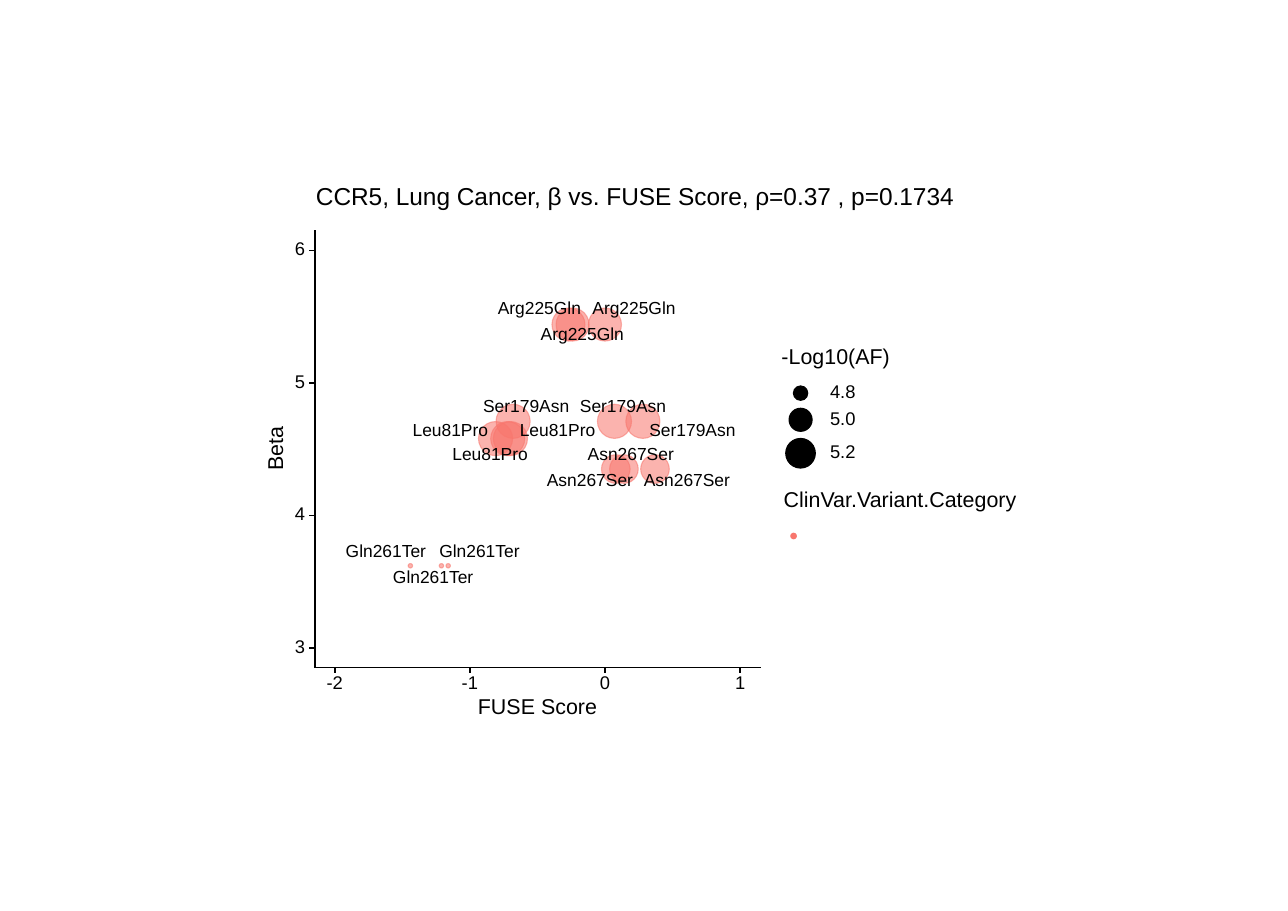
from dataclasses import dataclass

from lxml.etree import SubElement
from pptx import Presentation
from pptx.dml.color import RGBColor
from pptx.enum.shapes import MSO_CONNECTOR, MSO_SHAPE
from pptx.enum.text import MSO_ANCHOR, MSO_AUTO_SIZE, PP_ALIGN
from pptx.oxml.ns import qn
from pptx.shapes.autoshape import Shape
from pptx.shapes.group import GroupShape
from pptx.util import Pt

BLACK = "000000"
SALMON = "F8766D"
LEFT, RIGHT, TOP, BOTTOM = 205.9, 497.5, 150.2, 436.4
TICK = 3.5


@dataclass(frozen=True)
class Label:
    text: str
    x: float
    y: float
    size: float
    rotation: float = 0


@dataclass(frozen=True)
class Dot:
    x: float
    y: float
    diameter: float
    colour: str
    opacity: int = 100


@dataclass(frozen=True)
class Variant:
    name: str
    beta: float
    diameter: float
    scores: tuple[float, ...]
    label_centres: tuple[tuple[float, float], ...]


VARIANTS = (
    Variant("Arg225Gln", 5.44, 21.6, (-0.24, -0.27, 0),
            ((380.9, 219.4), (352.8, 202.2), (414.7, 202.2))),
    Variant("Asn267Ser", 4.35, 18.7, (0.14, 0.08, 0.37),
            ((412.6, 297.5), (385.9, 314.7), (449.3, 314.7))),
    Variant("Gln261Ter", 3.62, 2.9, (-1.21, -1.44, -1.16),
            ((283.3, 378.2), (252.4, 360.8), (313.6, 360.8))),
    Variant("Ser179Asn", 4.71, 22.3, (-0.68, 0.07, 0.28),
            ((344.2, 266.5), (407.5, 266.5), (452.9, 281.7))),
    Variant("Leu81Pro", 4.58, 22.3, (-0.72, -0.81, -0.7),
            ((320.6, 297.5), (294.6, 281.7), (364.7, 281.7))),
)
LEGEND_SIZES = (("4.8", 257, 9.4), ("5.0", 274.4, 15.1), ("5.2", 296.3, 19.4))
CAPTIONS = (
    Label("FUSE Score", 351.6, 462.7, 14),
    Label("Beta", 180.9, 293.2, 14, 270),
    Label("-Log10(AF)", 546.6, 234.1, 14),
    Label("ClinVar.Variant.Category", 588.7, 327.4, 14),
)


def colour_of(code: str) -> RGBColor:
    return RGBColor.from_string(code)


def score_x(score: float) -> float:
    return 395.7 + 88.4 * score


def beta_y(beta: float) -> float:
    return 423.6 - 86.65 * (beta - 3)


def set_opacity(shape: Shape, opacity: int) -> None:
    for colour in shape._element.spPr.iter(qn("a:srgbClr")):
        SubElement(colour, qn("a:alpha"), val=str(opacity * 1000))


def write_text(box: Shape, text: str, size: float) -> None:
    frame = box.text_frame
    frame.auto_size = MSO_AUTO_SIZE.NONE
    frame.word_wrap = False
    frame.vertical_anchor = MSO_ANCHOR.MIDDLE
    frame.margin_left = frame.margin_right = 0
    frame.margin_top = frame.margin_bottom = 0
    para = frame.paragraphs[0]
    para.text = text
    para.alignment = PP_ALIGN.CENTER
    para.line_spacing = Pt(size)
    para.font.name = "Arial"
    para.font.size = Pt(size)
    para.font.bold = False
    para.font.color.rgb = colour_of(BLACK)


def draw_label(plot: GroupShape, label: Label) -> None:
    width, height = len(label.text) * label.size * 0.54, label.size * 0.8
    box = plot.shapes.add_textbox(Pt(label.x - width / 2), Pt(label.y - height / 2),
                                  Pt(width), Pt(height))
    box.rotation = label.rotation
    write_text(box, label.text, label.size)


def draw_dot(plot: GroupShape, dot: Dot) -> None:
    radius = dot.diameter / 2
    circle = plot.shapes.add_shape(MSO_SHAPE.OVAL, Pt(dot.x - radius), Pt(dot.y - radius),
                                   Pt(dot.diameter), Pt(dot.diameter))
    circle.shadow.inherit = False
    circle.fill.solid()
    circle.fill.fore_color.rgb = colour_of(dot.colour)
    circle.line.color.rgb = colour_of(dot.colour)
    circle.line.width = Pt(0.71)
    if dot.opacity < 100:
        set_opacity(circle, dot.opacity)


def draw_line(plot: GroupShape, x1: float, y1: float, x2: float, y2: float) -> None:
    line = plot.shapes.add_connector(MSO_CONNECTOR.STRAIGHT, Pt(x1), Pt(y1), Pt(x2), Pt(y2))
    line.line.color.rgb = colour_of(BLACK)
    line.line.width = Pt(1.07)
    SubElement(line._element.spPr, qn("a:effectLst"))


def draw_variants(plot: GroupShape) -> None:
    for variant in VARIANTS:
        for score in variant.scores:
            draw_dot(plot, Dot(score_x(score), beta_y(variant.beta),
                               variant.diameter, SALMON, 55))
    for variant in VARIANTS:
        for x, y in variant.label_centres:
            draw_label(plot, Label(variant.name, x, y, 11.4))


def draw_axes(plot: GroupShape) -> None:
    draw_line(plot, LEFT, BOTTOM, LEFT, TOP)
    for beta in range(3, 7):
        y = beta_y(beta)
        draw_line(plot, LEFT - TICK, y, LEFT, y)
        draw_label(plot, Label(str(beta), 196.2, y, 12))
    draw_line(plot, LEFT, BOTTOM, RIGHT, BOTTOM)
    for score in range(-2, 2):
        x = score_x(score)
        draw_line(plot, x, BOTTOM + TICK, x, BOTTOM)
        draw_label(plot, Label(str(score), x, 447.3, 12))


def draw_legend(plot: GroupShape) -> None:
    for text, y, diameter in LEGEND_SIZES:
        draw_dot(plot, Dot(523.6, y, diameter, BLACK))
        draw_label(plot, Label(text, 551.2, y, 12))
    draw_dot(plot, Dot(519, 350.4, 3.6, SALMON))


def main() -> None:
    deck = Presentation()
    deck.slide_width, deck.slide_height = Pt(842.38), Pt(595.5)
    page = deck.slides.add_slide(deck.slide_layouts[5])
    title = page.shapes.title
    title.left, title.top, title.width, title.height = Pt(LEFT), Pt(122), Pt(419), Pt(15)
    write_text(title, "CCR5, Lung Cancer, β vs. FUSE Score, ρ=0.37 , p=0.1734", 16)
    plot = page.shapes.add_group_shape()
    draw_variants(plot)
    draw_axes(plot)
    for caption in CAPTIONS:
        draw_label(plot, caption)
    draw_legend(plot)
    deck.save("out.pptx")


if __name__ == "__main__":
    main()
